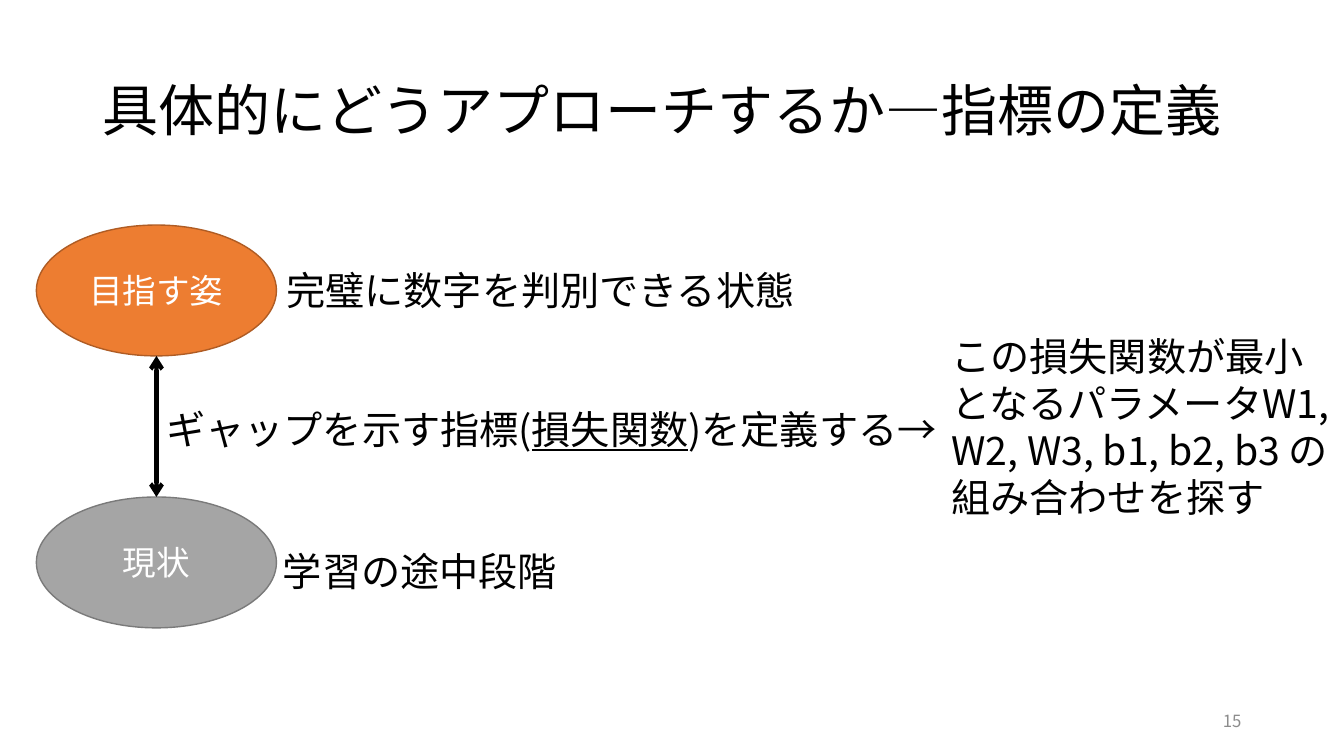
from dataclasses import dataclass

from lxml.etree import SubElement
from pptx import Presentation
from pptx.dml.color import RGBColor
from pptx.enum.shapes import MSO_CONNECTOR, MSO_SHAPE
from pptx.enum.text import MSO_ANCHOR, MSO_AUTO_SIZE, PP_ALIGN
from pptx.oxml.ns import qn
from pptx.util import Pt


@dataclass(frozen=True)
class Theme:
    font: str = "Noto Sans CJK JP"
    ink: str = "000000"
    light: str = "FFFFFF"
    muted: str = "8C8C8C"
    goal: str = "ED7D31"
    goal_edge: str = "AF5C24"
    now: str = "A5A5A5"
    now_edge: str = "7A7A7A"
    title: int = 40
    body: int = 28
    label: int = 24
    small: int = 12


THEME = Theme()


def color(code):
    return RGBColor.from_string(code)


def write(shape, *parts, size=THEME.body, ink=THEME.ink, align=PP_ALIGN.LEFT,
          anchor=MSO_ANCHOR.TOP, wrap=True, grow=False, under=None, space=None):
    frame = shape.text_frame
    frame.word_wrap = wrap
    frame.auto_size = MSO_AUTO_SIZE.SHAPE_TO_FIT_TEXT if grow else MSO_AUTO_SIZE.NONE
    frame.vertical_anchor = anchor
    para = frame.paragraphs[0]
    para.alignment = align
    if space:
        para.line_spacing = space
    for part in parts:
        run = para.add_run()
        run.text = part
        font = run.font
        font.size = Pt(size)
        font.color.rgb = color(ink)
        font.name = THEME.font
        if part == under:
            font.underline = True
        SubElement(font._element, qn("a:ea"), typeface=THEME.font)


def add_text(slide, box, *parts, **style):
    shape = slide.shapes.add_textbox(*map(Pt, box))
    write(shape, *parts, **style)


def add_oval(slide, top, text, fill, edge):
    oval = slide.shapes.add_shape(MSO_SHAPE.OVAL, Pt(26), Pt(top), Pt(171.5), Pt(93.5))
    oval.shadow.inherit = False
    oval.fill.solid()
    oval.fill.fore_color.rgb = color(fill)
    oval.line.color.rgb = color(edge)
    oval.line.width = Pt(1)
    write(oval, text, size=THEME.label, ink=THEME.light,
          align=PP_ALIGN.CENTER, anchor=MSO_ANCHOR.MIDDLE)
    return oval


def add_arrow(slide, lower, upper):
    mid = upper.left + upper.width // 2
    line = slide.shapes.add_connector(
        MSO_CONNECTOR.STRAIGHT, mid, lower.top, mid, upper.top + upper.height)
    line.begin_connect(lower, 0)
    line.line.color.rgb = color(THEME.ink)
    line.line.width = Pt(3)
    stroke = line.line._get_or_add_ln()
    for end in ("a:headEnd", "a:tailEnd"):
        SubElement(stroke, qn(end), type="arrow")
    SubElement(line._element.spPr, qn("a:effectLst"))


def main():
    deck = Presentation()
    deck.slide_width, deck.slide_height = Pt(960), Pt(540)
    slide = deck.slides.add_slide(deck.slide_layouts[6])

    add_text(slide, (66, 28.75, 828, 104.4), "具体的にどうアプローチするか—指標の定義",
             size=THEME.title, anchor=MSO_ANCHOR.MIDDLE, space=0.9)
    add_text(slide, (678, 500.5, 216, 28.75), "15", size=THEME.small,
             ink=THEME.muted, align=PP_ALIGN.RIGHT, anchor=MSO_ANCHOR.MIDDLE)

    goal = add_oval(slide, 160.75, "目指す姿", THEME.goal, THEME.goal_edge)
    now = add_oval(slide, 355, "現状", THEME.now, THEME.now_edge)
    add_arrow(slide, now, goal)

    add_text(slide, (111.75, 286, 590.5, 41), "ギャップを示す指標(", "損失関数",
             ")を定義する→", under="損失関数")
    add_text(slide, (195, 387.5, 212.5, 41), "学習の途中段階", wrap=False, grow=True)
    add_text(slide, (672.5, 233.5, 291.5, 143),
             "この損失関数が最小となるパラメータW1, W2, W3, b1, b2, b3 の組み合わせを探す",
             grow=True)
    add_text(slide, (197.5, 186.5, 382.5, 41), "完璧に数字を判別できる状態",
             wrap=False, grow=True)

    deck.save("out.pptx")


if __name__ == "__main__":
    main()
